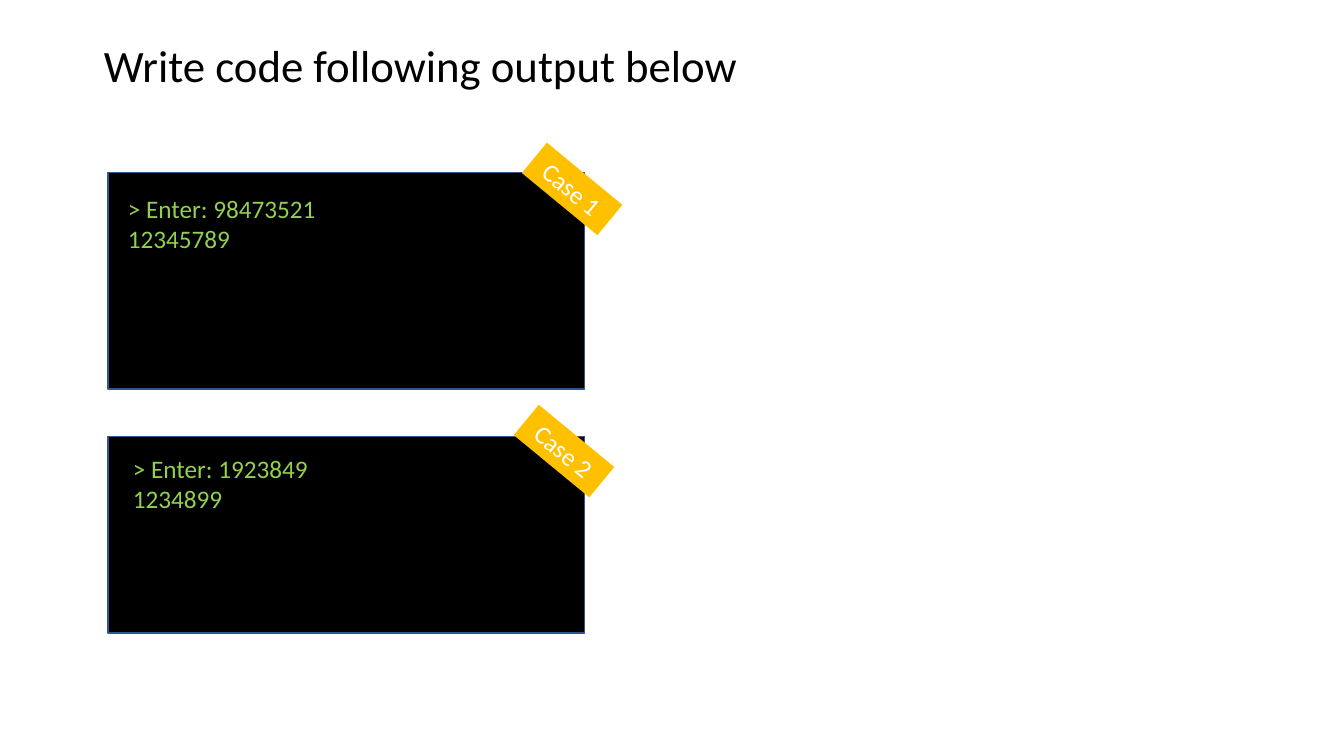
from pptx import Presentation
from pptx.dml.color import RGBColor
from pptx.enum.shapes import MSO_SHAPE as Shape
from pptx.enum.text import MSO_ANCHOR as Anchor, MSO_AUTO_SIZE as AutoSize, PP_ALIGN as Align
from pptx.util import Inches, Pt

SLIDE_WIDTH, SLIDE_HEIGHT = Inches(13.33), Inches(7.5)
COLORS = {
    "title": "000000",
    "terminal": "000000",
    "terminal_edge": "325491",
    "output": "92D050",
    "ribbon": "FFC000",
    "ribbon_text": "FFFFFF",
}
FONT = "Calibri"

# Shared measures, in percent of the slide's width or height
TERMINAL_LEFT, TERMINAL_WIDTH = 8.03, 35.48
RIBBON_WIDTH, RIBBON_HEIGHT, RIBBON_TILT = 7.28, 5.2, 39.5

# Output lines, terminal (top, height), output box, ribbon (left, top)
CASES = [
    (["> Enter: 98473521", "12345789"], (22.8, 28.67),
     (8.78, 24.93, 15.6, 13.47), (38.93, 22.4)),
    (["> Enter: 1923849", "1234899"], (57.73, 26),
     (9.15, 59.33, 14.7, 9.47), (38.33, 57.07)),
]


def color(name):
    return RGBColor.from_string(COLORS[name])


def area(left, top, width, height):
    """Turn percentages of the slide into lengths."""
    return (int(SLIDE_WIDTH * left / 100), int(SLIDE_HEIGHT * top / 100),
            int(SLIDE_WIDTH * width / 100), int(SLIDE_HEIGHT * height / 100))


def write(frame, lines, size, color_name, align=Align.LEFT):
    frame.text = "\n".join(lines)
    for line in frame.paragraphs:
        line.alignment = align
        line.font.name = FONT
        line.font.size = Pt(size)
        line.font.color.rgb = color(color_name)


def fit_to_text(frame):
    frame.word_wrap = False
    frame.auto_size = AutoSize.SHAPE_TO_FIT_TEXT
    frame.vertical_anchor = Anchor.TOP


def add_title(slide, wording):
    title = slide.shapes.title
    title.left, title.top, title.width, title.height = area(6.98, 4.27, 49.14, 8.53)
    fit_to_text(title.text_frame)
    write(title.text_frame, [wording], 32, "title")


def add_panel(slide, place, fill, edge=None):
    panel = slide.shapes.add_shape(Shape.RECTANGLE, *area(*place))
    panel.shadow.inherit = False
    panel.fill.solid()
    panel.fill.fore_color.rgb = color(fill)
    if edge:
        panel.line.color.rgb = color(edge)
        panel.line.width = Pt(1)
    else:
        panel.line.fill.background()
    return panel


def add_output(slide, place, lines):
    output = slide.shapes.add_textbox(*area(*place)).text_frame
    fit_to_text(output)
    write(output, lines, 18, "output")


def add_ribbon(slide, left, top, label):
    ribbon = add_panel(slide, (left, top, RIBBON_WIDTH, RIBBON_HEIGHT), "ribbon")
    ribbon.rotation = RIBBON_TILT
    ribbon.text_frame.vertical_anchor = Anchor.MIDDLE
    write(ribbon.text_frame, [label], 18, "ribbon_text", Align.CENTER)


def main():
    deck = Presentation()
    deck.slide_width, deck.slide_height = SLIDE_WIDTH, SLIDE_HEIGHT
    slide = deck.slides.add_slide(deck.slide_layouts[5])

    add_title(slide, "Write code following output below")

    # One terminal with its output and ribbon per case
    for number, (lines, (top, height), output_place, corner) in enumerate(CASES, 1):
        add_panel(slide, (TERMINAL_LEFT, top, TERMINAL_WIDTH, height),
                  "terminal", "terminal_edge")
        add_output(slide, output_place, lines)
        add_ribbon(slide, *corner, f"Case {number}")

    deck.save("out.pptx")


if __name__ == "__main__":
    main()
